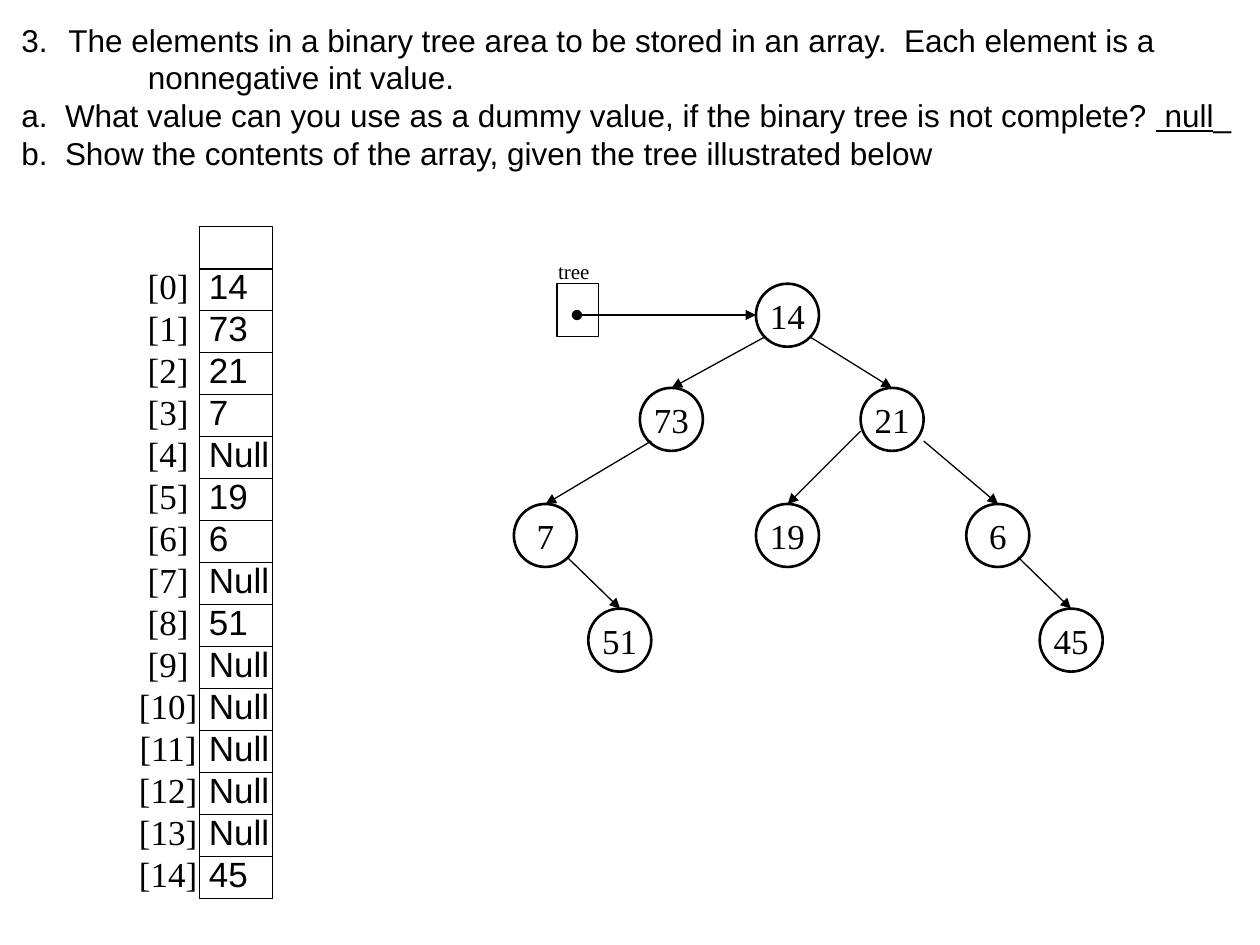
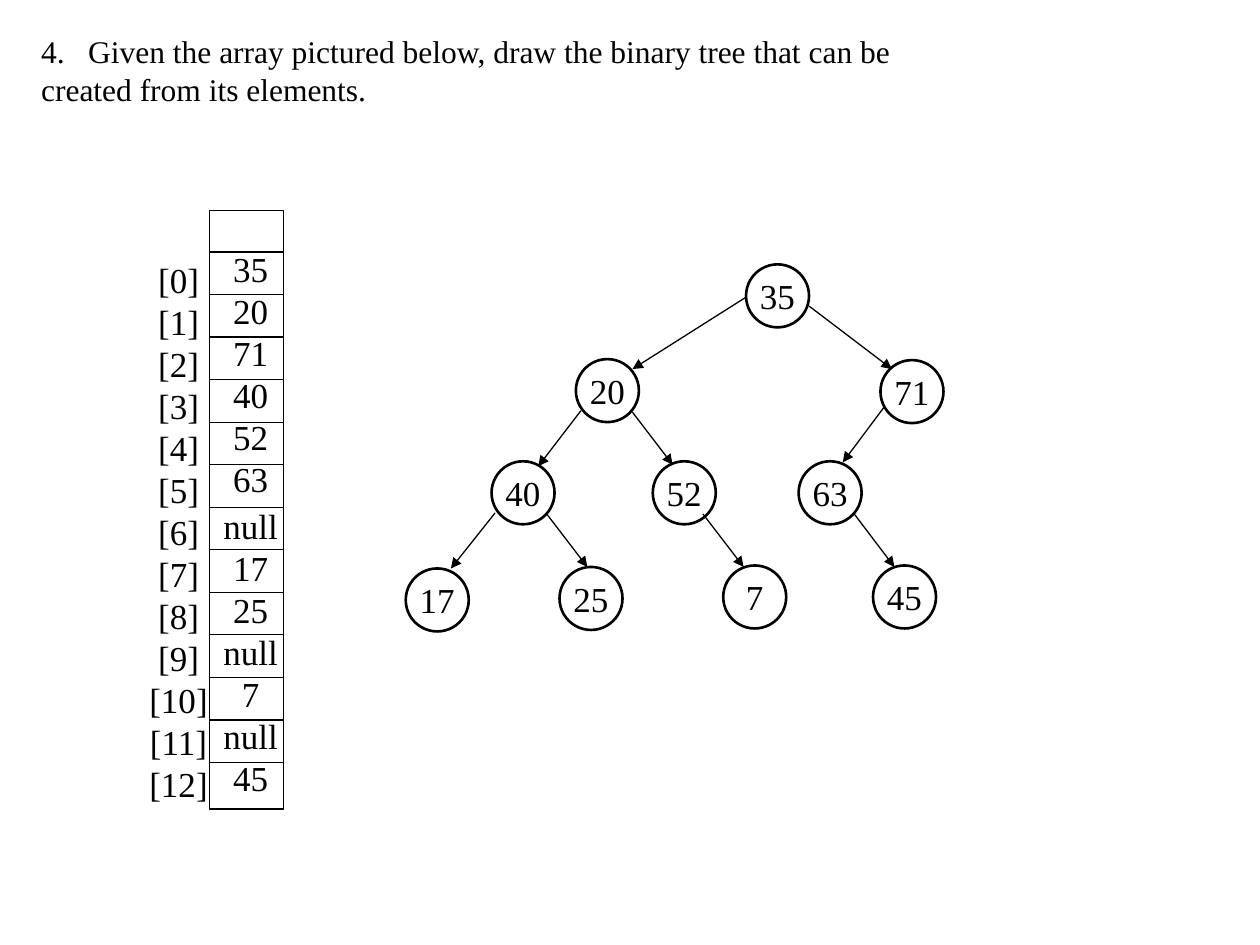
from lxml.etree import SubElement
from pptx import Presentation
from pptx.dml.color import RGBColor
from pptx.enum.shapes import MSO_CONNECTOR, MSO_SHAPE
from pptx.enum.text import MSO_ANCHOR, MSO_AUTO_SIZE, PP_ALIGN
from pptx.oxml.ns import qn
from pptx.util import Cm, Pt

COLORS = {"ink": "000000"}
SANS, SERIF = "Arial", "Times New Roman"
INK = RGBColor.from_string(COLORS["ink"])
NODE_SIZE = 1.27
HANGING = 0.95
QUESTION_SIZE, QUESTION_LINE = 18, 21.5
CELL_SIZE, CELL_LINE = 20, 24


def add_run(paragraph, text, font, size, underline=None):
    run = paragraph.add_run()
    run.text = text
    run.font.name = font
    run.font.size = Pt(size)
    run.font.color.rgb = INK
    run.font.underline = underline


def add_text_frame(shapes, box):
    frame = shapes.add_textbox(*map(Cm, box)).text_frame
    frame.word_wrap = False
    frame.auto_size = MSO_AUTO_SIZE.SHAPE_TO_FIT_TEXT
    return frame


def next_paragraph(frame, position):
    return frame.add_paragraph() if position else frame.paragraphs[0]


def set_hanging(paragraph, margin, start=None):
    """Hang the first line; number the paragraph when a start is given."""
    properties = paragraph._p.get_or_add_pPr()
    properties.set("marL", str(Cm(margin)))
    properties.set("indent", str(-Cm(HANGING)))
    if start:
        SubElement(properties, qn("a:buFont"), typeface="+mj-lt")
        SubElement(properties, qn("a:buAutoNum"), type="arabicPeriod",
                   startAt=str(start))


def add_question(slide, box, font, number, lines):
    """Each line is its left margin (or None) and its (text, underline) runs."""
    frame = add_text_frame(slide.shapes, box)
    for position, (margin, runs) in enumerate(lines):
        paragraph = next_paragraph(frame, position)
        paragraph.line_spacing = Pt(QUESTION_LINE)
        if margin:
            paragraph.level = 1 if margin > HANGING else 0
            set_hanging(paragraph, margin, None if position else number)
        for text, underline in runs:
            add_run(paragraph, text, font, QUESTION_SIZE, underline)


def add_column(shapes, box, texts, font, alignment, gap_before=None):
    """Stack one text per array row; gap_before is the row set lower."""
    frame = add_text_frame(shapes, box)
    for row, text in enumerate(texts):
        paragraph = next_paragraph(frame, row)
        paragraph.alignment = alignment
        paragraph.line_spacing = Pt(CELL_LINE)
        if row == gap_before:
            paragraph.space_before = Pt(3)
        add_run(paragraph, text, font, CELL_SIZE)


def add_outline(shapes, kind, box, width):
    shape = shapes.add_shape(kind, *map(Cm, box))
    shape.shadow.inherit = False
    shape.fill.background()
    shape.line.color.rgb = INK
    shape.line.width = Pt(width)
    return shape


def add_line(shapes, ends, head=None, tail=None):
    connector = shapes.add_connector(MSO_CONNECTOR.STRAIGHT, *map(Cm, ends))
    connector.line.color.rgb = INK
    connector.line.width = Pt(0.75)
    outline = connector.line._get_or_add_ln()
    for tag, kind in (("a:headEnd", head), ("a:tailEnd", tail)):
        if kind:
            SubElement(outline, qn(tag), type=kind)
    SubElement(connector._element.spPr, qn("a:effectLst"))


def add_array_frame(slide, box, first_line, last_line, line_count,
                    index_box, index_count):
    """Group the array's outline, its row dividers and its index labels."""
    shapes = slide.shapes.add_group_shape().shapes
    left, _, width, _ = box
    add_outline(shapes, MSO_SHAPE.RECTANGLE, box, 0.75)
    labels = [f"[{index}]" for index in range(index_count)]
    add_column(shapes, index_box, labels, SERIF, PP_ALIGN.CENTER)
    pitch = (last_line - first_line) / (line_count - 1)
    for row in range(line_count):
        y = first_line + row * pitch
        add_line(shapes, (left, y, left + width, y))


def add_node(slide, value, left, top):
    node = add_outline(slide.shapes, MSO_SHAPE.OVAL,
                       (left, top, NODE_SIZE, NODE_SIZE), 1.5)
    frame = node.text_frame
    frame.word_wrap = False
    frame.vertical_anchor = MSO_ANCHOR.MIDDLE
    paragraph = frame.paragraphs[0]
    paragraph.alignment = PP_ALIGN.CENTER
    add_run(paragraph, value, SERIF, CELL_SIZE)


def add_tree(slide, nodes, edges):
    for node in nodes:
        add_node(slide, *node)
    for edge in edges:
        add_line(slide.shapes, edge, tail="triangle")


def add_tree_pointer(slide):
    add_outline(slide.shapes, MSO_SHAPE.RECTANGLE, (11.23, 5.72, 0.84, 1.07), 0.75)
    add_line(slide.shapes, (11.63, 6.35, 15.24, 6.35), "oval", "triangle")
    frame = add_text_frame(slide.shapes, (11, 5.08, 1.14, 0.76))
    add_run(frame.paragraphs[0], "tree", SERIF, 12)


def build_tree_to_array(slide):
    add_question(slide, (0.18, 0.3, 25.12, 3.33), SANS, 3, [
        (HANGING, [("The elements in a binary tree area to be stored in an array.  "
                    "Each element is a", None)]),
        (3.5, [("nonnegative int value.", None)]),
        (HANGING, [("a.  What value can you use as a dummy value, "
                    "if the binary tree is not complete? ", None),
                   (" null", True), ("_", None)]),
        (HANGING, [("b.  Show the contents of the array, "
                    "given the tree illustrated below", None)]),
    ])
    add_tree(slide, [
        ("14", 15.24, 5.72),
        ("73", 12.9, 7.82), ("21", 17.35, 7.82),
        ("7", 10.36, 10.16), ("19", 15.24, 10.16), ("6", 19.48, 10.16),
        ("51", 11.86, 12.27), ("45", 20.96, 12.27),
    ], [
        (15.44, 6.78, 13.54, 7.82), (16.31, 6.78, 17.98, 7.82),
        (13.13, 8.89, 11, 10.16), (17.35, 8.69, 15.88, 10.16),
        (18.62, 8.89, 20.12, 10.16),
        (11.43, 11.23, 12.5, 12.27), (20.52, 11.23, 21.59, 12.27),
    ])
    add_tree_pointer(slide)
    values = ["14", "73", "21", "7", "Null", "19", "6", "Null", "51",
              "Null", "Null", "Null", "Null", "Null", "45"]
    add_array_frame(slide, (4.02, 4.57, 1.48, 13.54), 5.42, 18.11, 16,
                    (2.54, 5.21, 1.7, 13.08), len(values))
    add_column(slide.shapes, (3.96, 5.21, 1.75, 13.08), values, SANS, PP_ALIGN.LEFT)


def build_array_to_tree(slide):
    values = ["35", "20", "71", "40", "52", "63", "null", "17", "25",
              "null", "7", "null", "45"]
    add_array_frame(slide, (4.23, 4.24, 1.48, 12.07), 5.08, 15.37, 13,
                    (2.75, 5.08, 1.7, 11.38), len(values))
    add_question(slide, (0.58, 0.53, 17.83, 1.8), SERIF, 4, [
        (HANGING, [("Given the array pictured below, "
                    "draw the binary tree that can be", None)]),
        (None, [("created from its elements.", None)]),
    ])
    add_column(slide.shapes, (4.24, 4.86, 1.63, 11.37), values, SERIF,
               PP_ALIGN.CENTER, gap_before=values.index("null"))
    add_tree(slide, [
        ("35", 15.04, 5.33),
        ("20", 11.61, 7.24), ("71", 17.75, 7.26),
        ("40", 9.91, 9.3), ("52", 13.16, 9.3), ("63", 16.1, 9.3),
        ("17", 8.18, 11.46), ("25", 11.28, 11.43),
        ("7", 14.58, 11.4), ("45", 17.6, 11.4),
    ], [
        (15.04, 5.99, 12.75, 7.44), (16.31, 6.17, 17.98, 7.44),
        (11.71, 8.28, 10.85, 9.4), (12.75, 8.31, 13.56, 9.37),
        (17.83, 8.2, 16.99, 9.32),
        (9.98, 10.34, 9.09, 11.46), (11.02, 10.36, 11.84, 11.43),
        (14.17, 10.36, 14.99, 11.43), (17.22, 10.36, 18.03, 11.43),
    ])


def main():
    presentation = Presentation()
    presentation.slide_width = Cm(25.4)
    presentation.slide_height = Cm(19.05)
    blank_layout = presentation.slide_layouts.get_by_name("Blank")
    for build in (build_tree_to_array, build_array_to_tree):
        build(presentation.slides.add_slide(blank_layout))
    presentation.save("out.pptx")


if __name__ == "__main__":
    main()
